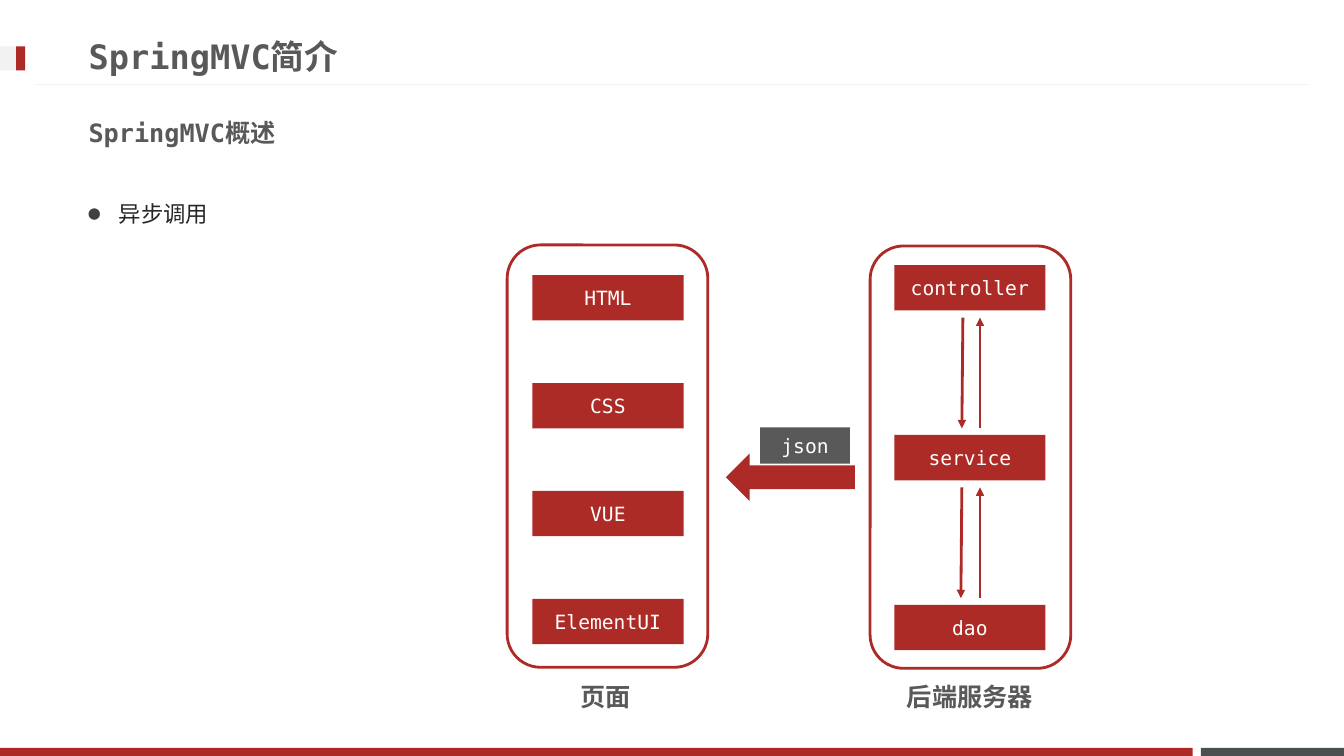
import pptx
import pptx.util
import pptx.dml.color
import pptx.enum.shapes
import pptx.enum.text
from lxml import etree

Inches = pptx.util.Inches
Pt = pptx.util.Pt
Shape = pptx.enum.shapes.MSO_SHAPE
Align = pptx.enum.text.PP_ALIGN
Anchor = pptx.enum.text.MSO_ANCHOR

FONT = "DejaVu Sans Mono"
RED, GRAY, PALE, SLATE = "AD2B26", "595959", "F2F2F2", "49504F"
WHITE, INK = "FFFFFF", "262626"

TITLE = "SpringMVC简介"
HEAD = "SpringMVC概述"
POINT = "异步调用"
PANELS = [
    {"name": "页面", "frame": (5.03, 2.43), "label": 5.26,
     "left": 5.28, "top": 2.73, "step": 1.07,
     "parts": ["HTML", "CSS", "VUE", "ElementUI"]},
    {"name": "后端服务器", "frame": (8.63, 2.44), "label": 8.87,
     "left": 8.87, "top": 2.63, "step": 1.685,
     "parts": ["controller", "service", "dao"]},
]
BARS = [
    (11.91, 7.42, 1.42, 0.08, SLATE),
    (0, 7.42, 11.83, 0.08, RED),
    (0, 0.46, 0.25, 0.24, PALE),
    (0.16, 0.46, 0.09, 0.24, RED),
]


def rgb(code):
    return pptx.dml.color.RGBColor.from_string(code)


def write(box, text, size, color, bold=False, align=Align.LEFT, anchor=Anchor.MIDDLE):
    frame = box.text_frame
    frame.text = text
    frame.word_wrap = True
    frame.auto_size = pptx.enum.text.MSO_AUTO_SIZE.NONE
    frame.vertical_anchor = anchor
    para = frame.paragraphs[0]
    para.alignment = align
    font = para.runs[0].font
    font.name, font.size, font.bold = FONT, Pt(size), bold
    font.color.rgb = rgb(color)
    return para


def draw(kind, left, top, width, height, fill=None, line=None):
    shape = slide.shapes.add_shape(
        kind, Inches(left), Inches(top), Inches(width), Inches(height))
    shape.shadow.inherit = False
    if fill:
        shape.fill.solid()
        shape.fill.fore_color.rgb = rgb(fill)
    else:
        shape.fill.background()
    if line:
        shape.line.color.rgb = rgb(line)
        shape.line.width = Pt(2)
    else:
        shape.line.fill.background()
    return shape


def note(text, left, top, width, height, size, color, **style):
    box = slide.shapes.add_textbox(
        Inches(left), Inches(top), Inches(width), Inches(height))
    return write(box, text, size, color, **style)


def link(x1, y1, x2, y2, color, width, arrow=False):
    line = slide.shapes.add_connector(
        pptx.enum.shapes.MSO_CONNECTOR.STRAIGHT,
        Inches(x1), Inches(y1), Inches(x2), Inches(y2))
    line.line.color.rgb = rgb(color)
    line.line.width = Pt(width)
    if arrow:
        tail = etree.SubElement(line.line._get_or_add_ln(), pptx.oxml.ns.qn("a:tailEnd"))
        tail.set("type", "triangle")
    etree.SubElement(line._element.spPr, pptx.oxml.ns.qn("a:effectLst"))


def dot(para):
    props = para._p.get_or_add_pPr()
    props.set("marL", str(Inches(0.3)))
    props.set("indent", str(-Inches(0.3)))
    tint = etree.SubElement(props, pptx.oxml.ns.qn("a:buClr"))
    etree.SubElement(tint, pptx.oxml.ns.qn("a:srgbClr")).set("val", "404040")
    for tag, key, value in [("a:buSzPct", "val", "85000"),
                            ("a:buFont", "typeface", FONT),
                            ("a:buChar", "char", "●")]:
        etree.SubElement(props, pptx.oxml.ns.qn(tag)).set(key, value)


deck = pptx.Presentation()
deck.slide_width, deck.slide_height = Inches(13.33), Inches(7.5)
slide = deck.slides.add_slide(deck.slide_layouts[5])

for left, top, width, height, color in BARS:
    draw(Shape.RECTANGLE, left, top, width, height, color)
link(12.98, 0.84, 0.35, 0.84, PALE, 0.75)

title = slide.shapes.title
title.left, title.top = Inches(0.78), Inches(0.27)
title.width, title.height = Inches(9.59), Inches(0.57)
write(title, TITLE, 24, GRAY, bold=True)

note(HEAD, 0.78, 1.03, 11.76, 0.57, 18, GRAY, bold=True)
point = note(POINT, 0.78, 1.8, 11.76, 0.52, 16, INK, anchor=Anchor.TOP)
point.line_spacing = 1.5
dot(point)

for panel in PANELS:
    draw(Shape.ROUNDED_RECTANGLE, *panel["frame"], 1.99, 4.19, line=RED)
    for i, part in enumerate(panel["parts"]):
        top = panel["top"] + i * panel["step"]
        box = draw(Shape.RECTANGLE, panel["left"], top, 1.5, 0.45, RED)
        box.text_frame.margin_left = box.text_frame.margin_right = 0
        write(box, part, 14, WHITE, align=Align.CENTER)
    note(panel["name"], panel["label"], 6.62, 1.5, 0.57, 18, GRAY,
         bold=True, align=Align.CENTER)

stack = PANELS[1]
for i in range(len(stack["parts"]) - 1):
    high = stack["top"] + i * stack["step"] + 0.52
    low = high + 1.1
    down = 9.55 - 0.01 * i
    link(down, high, down - 0.01, low, RED, 2, arrow=True)
    link(9.72, low, 9.72, high, RED, 2, arrow=True)

json = draw(Shape.RECTANGLE, 7.54, 4.24, 0.89, 0.36, GRAY)
write(json, "json", 14, WHITE, align=Align.CENTER)
draw(Shape.LEFT_ARROW, 7.2, 4.5, 1.28, 0.47, RED)

deck.save("out.pptx")
